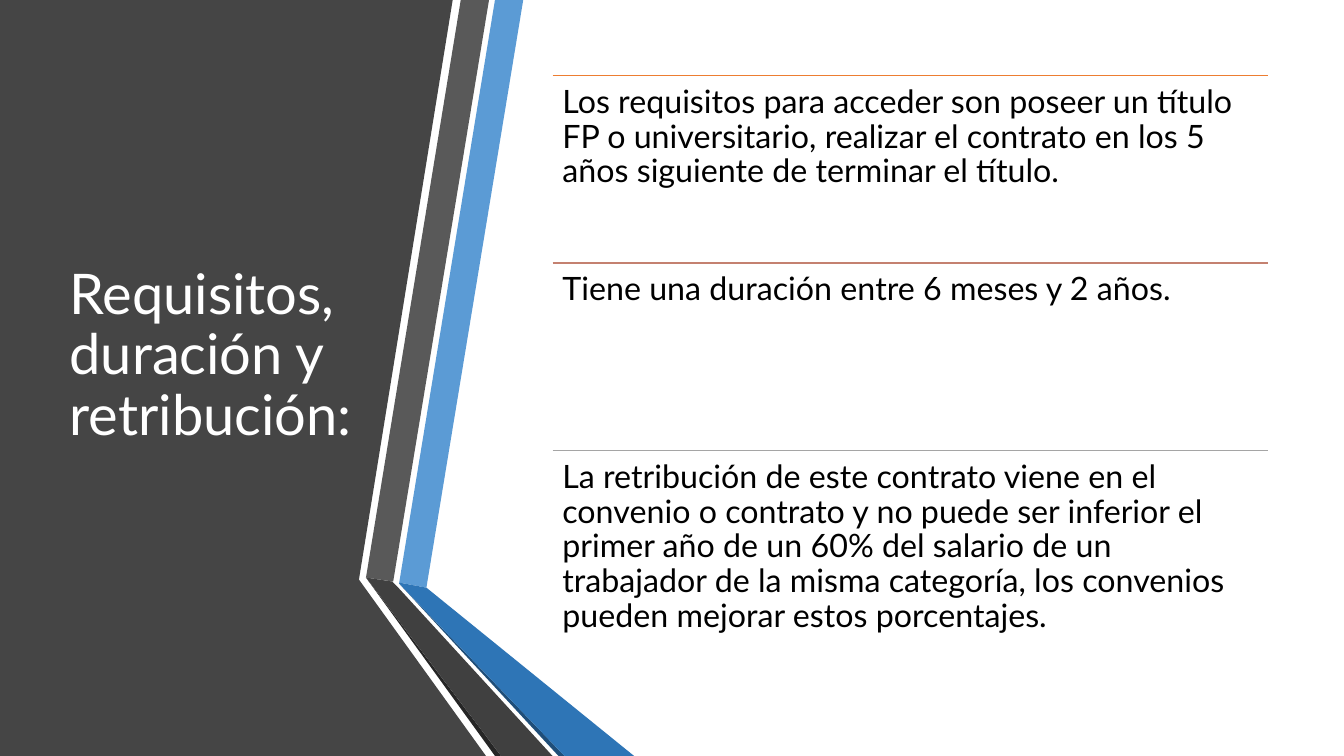
from dataclasses import dataclass

from lxml import etree
from pptx import Presentation
from pptx.dml.color import RGBColor
from pptx.enum.shapes import MSO_CONNECTOR
from pptx.enum.text import MSO_ANCHOR, MSO_AUTO_SIZE, PP_ALIGN
from pptx.oxml.ns import qn
from pptx.shapes.autoshape import Shape
from pptx.slide import Slide
from pptx.util import Emu, Pt

STRAIGHT = MSO_CONNECTOR.STRAIGHT
TOP, MIDDLE = MSO_ANCHOR.TOP, MSO_ANCHOR.MIDDLE
NO_AUTOFIT = MSO_AUTO_SIZE.NONE
LEFT = PP_ALIGN.LEFT

EMU_PER_PX = 9144  # 100 px to the inch
SLIDE_WIDTH, SLIDE_HEIGHT = 1333, 750
FONT = "Lato"
TITLE_LEFT, TITLE_TOP, TITLE_WIDTH, TITLE_HEIGHT = 59, 75, 304, 558
SECTION_LEFT, SECTION_TOP, SECTION_WIDTH, SECTION_HEIGHT = 548, 75, 710, 186
SECTION_INSET = 10

COLORS = {
    "panel": "454545",
    "blue": "5B9BD5",
    "blue_fold": "2E75B6",
    "blue_edge": "1F4E79",
    "gray": "595959",
    "gray_fold": "404040",
    "gray_edge": "262626",
    "title": "FFFFFF",
    "text": "000000",
    "orange_rule": "ED7D31",
    "rose_rule": "C48170",
    "silver_rule": "A5A5A5",
}


@dataclass(frozen=True)
class Polygon:
    color: str
    points: tuple[tuple[int, int], ...]


@dataclass(frozen=True)
class Section:
    rule_color: str
    text: str


POLYGONS = (
    Polygon("panel", ((0, 0), (449, 0), (356, 575), (482, 750), (0, 750))),
    Polygon("blue", ((396, 578), (423, 583), (519, 0), (491, 0))),
    Polygon("gray", ((485, 0), (457, 0), (363, 573), (390, 577))),
    Polygon("gray_edge", ((363, 573), (491, 750), (497, 750))),
    Polygon("blue_edge", ((396, 579), (554, 750), (560, 750))),
    Polygon("blue_fold", ((396, 579), (560, 750), (629, 750), (423, 583), (396, 578))),
    Polygon("gray_fold", ((548, 750), (395, 583), (389, 577), (363, 573), (497, 750))),
)

SECTIONS = (
    Section(
        "orange_rule",
        "Los requisitos para acceder son poseer un título FP o universitario, "
        "realizar el contrato en los 5 años siguiente de terminar el título.",
    ),
    Section("rose_rule", "Tiene una duración entre 6 meses y 2 años."),
    Section(
        "silver_rule",
        "La retribución de este contrato viene en el convenio o contrato y no "
        "puede ser inferior el primer año de un 60% del salario de un trabajador "
        "de la misma categoría, los convenios pueden mejorar estos porcentajes.",
    ),
)


def px(length: int) -> Emu:
    return Emu(length * EMU_PER_PX)


def rgb(name: str) -> RGBColor:
    return RGBColor.from_string(COLORS[name])


def write_text(shape: Shape, text: str, size: int, color: str, anchor: MSO_ANCHOR) -> None:
    frame = shape.text_frame
    frame.text = text
    frame.word_wrap = True
    frame.auto_size = NO_AUTOFIT
    frame.vertical_anchor = anchor
    paragraph = frame.paragraphs[0]
    paragraph.alignment = LEFT
    paragraph.line_spacing = 0.9
    font = paragraph.runs[0].font
    font.name = FONT
    font.size = Pt(size)
    font.color.rgb = rgb(color)


def add_polygon(slide: Slide, polygon: Polygon) -> None:
    start, *others = polygon.points
    builder = slide.shapes.build_freeform(*start, scale=EMU_PER_PX)
    builder.add_line_segments(others, close=True)
    shape = builder.convert_to_shape()
    shape.shadow.inherit = False
    shape.fill.solid()
    shape.fill.fore_color.rgb = rgb(polygon.color)
    shape.line.fill.background()


def add_title(slide: Slide, text: str) -> None:
    """Fill the title placeholder and bring it in front of the dark panel."""
    title = slide.shapes.title
    title.left, title.top = px(TITLE_LEFT), px(TITLE_TOP)
    title.width, title.height = px(TITLE_WIDTH), px(TITLE_HEIGHT)
    write_text(title, text, 40, "title", MIDDLE)
    title.element.getparent().append(title.element)


def add_rule(slide: Slide, top: int, color: str) -> None:
    rule = slide.shapes.add_connector(
        STRAIGHT, px(SECTION_LEFT), px(top), px(SECTION_LEFT + SECTION_WIDTH), px(top)
    )
    rule.line.color.rgb = rgb(color)
    rule.line.width = Pt(1)
    etree.SubElement(rule.element.spPr, qn("a:effectLst"))


def add_section(slide: Slide, section: Section, top: int) -> None:
    add_rule(slide, top, section.rule_color)
    box = slide.shapes.add_textbox(
        px(SECTION_LEFT), px(top), px(SECTION_WIDTH), px(SECTION_HEIGHT)
    )
    write_text(box, section.text, 23, "text", TOP)
    frame = box.text_frame
    frame.margin_left = frame.margin_right = px(SECTION_INSET)
    frame.margin_top = frame.margin_bottom = px(SECTION_INSET)


def main() -> None:
    presentation = Presentation()
    presentation.slide_width = px(SLIDE_WIDTH)
    presentation.slide_height = px(SLIDE_HEIGHT)
    title_only = presentation.slide_layouts.get_by_name("Title Only")
    slide = presentation.slides.add_slide(title_only)
    for polygon in POLYGONS:
        add_polygon(slide, polygon)
    add_title(slide, "Requisitos, duración y retribución:")
    for index, section in enumerate(SECTIONS):
        add_section(slide, section, SECTION_TOP + index * SECTION_HEIGHT)
    presentation.save("out.pptx")


if __name__ == "__main__":
    main()
